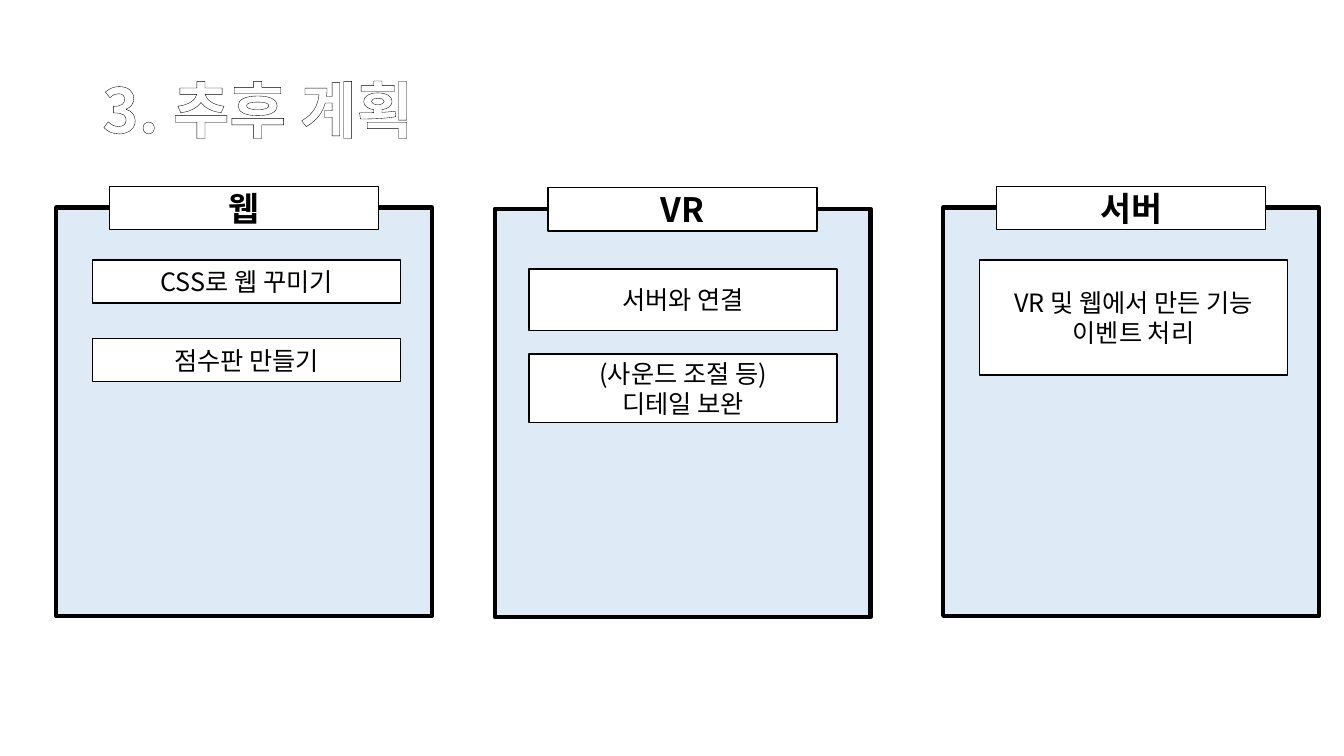
import lxml.etree
import pptx
import pptx.dml.color
import pptx.enum.shapes
import pptx.enum.text
import pptx.oxml.ns
import pptx.util

Cm = pptx.util.Cm
Pt = pptx.util.Pt
RGBColor = pptx.dml.color.RGBColor

BLACK = RGBColor(0x00, 0x00, 0x00)
WHITE = RGBColor(0xFF, 0xFF, 0xFF)
PALE_BLUE = RGBColor(0xDE, 0xEB, 0xF7)
FONT = "Noto Sans CJK KR"

PANEL_WIDTH, PANEL_HEIGHT = 9.47, 10.29
TAB_WIDTH, TAB_HEIGHT, TAB_RISE = 6.78, 1.09, 0.53
TASK_WIDTH = 7.77

# Each plan: panel left and top, heading, task indent,
# then tasks as (offset from panel top, height, lines).
PLANS = [
    (1.42, 5.23, "웹", 0.91, [
        (1.32, 1.09, ["CSS로 웹 꾸미기"]),
        (3.3, 1.09, ["점수판 만들기"]),
    ]),
    (12.47, 5.26, "VR", 0.86, [
        (1.52, 1.55, ["서버와 연결"]),
        (3.66, 1.73, ["(사운드 조절 등)", "디테일 보완"]),
    ]),
    (23.77, 5.23, "서버", 0.91, [
        (1.32, 2.9, ["VR 및 웹에서 만든 기능 이벤트 처리"]),
    ]),
]


def drawing_tag(name):
    return pptx.oxml.ns.qn("a:" + name)


def add_span(para, text, size, color, bold=False):
    span = para.add_run()
    span.text = text
    span.font.size = Pt(size)
    span.font.bold = bold
    span.font.color.rgb = color
    span.font.name = FONT
    properties = span.font._element
    lxml.etree.SubElement(properties, drawing_tag("ea"), typeface=FONT)
    return span


def outline_span(span, color, width):
    """Draw a line round the letters of the span."""
    line = lxml.etree.Element(drawing_tag("ln"), w=str(int(Pt(width))))
    fill = lxml.etree.SubElement(line, drawing_tag("solidFill"))
    lxml.etree.SubElement(fill, drawing_tag("srgbClr"), val=str(color))
    span.font._element.insert(0, line)


def add_box(page, left, top, width, height, fill, line_width):
    box = page.shapes.add_shape(
        pptx.enum.shapes.MSO_SHAPE.RECTANGLE,
        Cm(left), Cm(top), Cm(width), Cm(height))
    box.shadow.inherit = False
    box.fill.solid()
    box.fill.fore_color.rgb = fill
    box.line.color.rgb = BLACK
    box.line.width = Pt(line_width)
    return box


def add_label(page, left, top, width, height, lines, size, bold=False):
    """Add a white box with centred lines of text."""
    frame = add_box(page, left, top, width, height, WHITE, 1).text_frame
    frame.word_wrap = True
    frame.vertical_anchor = pptx.enum.text.MSO_ANCHOR.MIDDLE
    for number, line in enumerate(lines):
        para = frame.add_paragraph() if number else frame.paragraphs[0]
        para.alignment = pptx.enum.text.PP_ALIGN.CENTER
        add_span(para, line, size, BLACK, bold)


def add_title(page, left, top, width, height, text):
    box = page.shapes.add_textbox(Cm(left), Cm(top), Cm(width), Cm(height))
    frame = box.text_frame
    frame.word_wrap = True
    frame.vertical_anchor = pptx.enum.text.MSO_ANCHOR.MIDDLE
    para = frame.paragraphs[0]
    para.line_spacing = 0.9
    outline_span(add_span(para, text, 44, WHITE, bold=True), BLACK, 1.5)


def add_plan(page, left, top, heading, indent, tasks):
    """Add a panel with a heading tab on its top edge and its tasks inside."""
    add_box(page, left, top, PANEL_WIDTH, PANEL_HEIGHT, PALE_BLUE, 3)
    add_label(page, left + (PANEL_WIDTH - TAB_WIDTH) / 2, top - TAB_RISE,
              TAB_WIDTH, TAB_HEIGHT, [heading], 24, bold=True)
    for offset, height, lines in tasks:
        add_label(page, left + indent, top + offset,
                  TASK_WIDTH, height, lines, 18)


def main():
    deck = pptx.Presentation()
    deck.slide_width, deck.slide_height = Cm(33.87), Cm(19.05)
    page = deck.slides.add_slide(deck.slide_layouts[6])
    add_title(page, 2.33, 1.01, 29.21, 3.68, "3. 추후 계획")
    for plan in PLANS:
        add_plan(page, *plan)
    deck.save("out.pptx")


if __name__ == "__main__":
    main()
